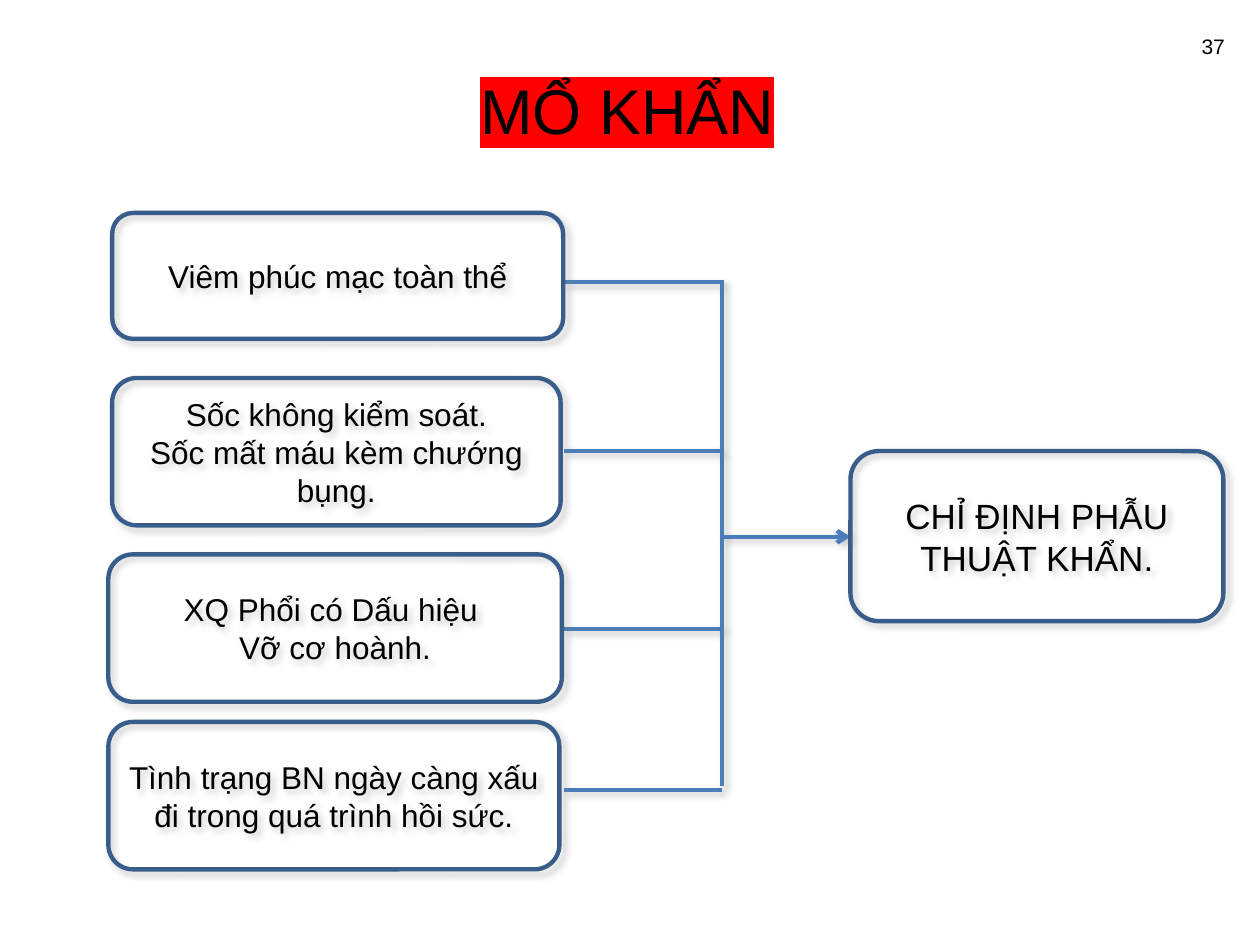
import pptx
import pptx.dml.color
import pptx.enum.shapes
import pptx.enum.text
import pptx.oxml
import pptx.oxml.ns
import pptx.util

Inches = pptx.util.Inches
Pt = pptx.util.Pt
ALIGN = pptx.enum.text.PP_ALIGN
NS = pptx.oxml.ns.nsdecls("a")

BOX_LINE = "385D8A"
LINK = "4A7EBB"
LINE_WIDTH = 2.5
TRUNK_X = 5.73

# left, top, width, height, text size, text
BOXES = [
    (0.89, 1.69, 3.58, 1, 18, "Viêm phúc mạc toàn thể"),
    (0.89, 3, 3.56, 1.17, 18,
     "Sốc không kiểm soát.\nSốc mất máu kèm chướng bụng."),
    (0.86, 4.4, 3.6, 1.17, 18, "XQ Phổi có Dấu hiệu \vVỡ cơ hoành."),
    (0.86, 5.73, 3.58, 1.17, 18,
     "Tình trạng BN ngày càng xấu đi trong quá trình hồi sức."),
    (6.75, 3.58, 2.96, 1.35, 20, "CHỈ ĐỊNH PHẪU THUẬT KHẨN."),
]
BRANCH_YS = [2.24, 3.58, 4.99, 6.27]


def color(code):
    return pptx.dml.color.RGBColor.from_string(code)


def add_shadow(shape):
    shape._element.spPr.append(pptx.oxml.parse_xml(
        f'<a:effectLst {NS}><a:outerShdw blurRad="{Pt(4)}" dist="{Pt(3)}" '
        'dir="2700000" algn="tl" rotWithShape="0"><a:srgbClr val="808080">'
        '<a:alpha val="40000"/></a:srgbClr></a:outerShdw></a:effectLst>'))


def set_line(shape, code):
    shape.line.color.rgb = color(code)
    shape.line.width = Pt(LINE_WIDTH)


def set_text(shape, text, size, align=ALIGN.CENTER):
    frame = shape.text_frame
    frame.text = text
    frame.word_wrap = True
    frame.vertical_anchor = pptx.enum.text.MSO_ANCHOR.MIDDLE
    for para in frame.paragraphs:
        para.alignment = align
        para.font.name = "Arial"
        para.font.size = Pt(size)
        para.font.color.rgb = color("000000")


def add_title(slide, text):
    title = slide.shapes.title
    title.left, title.top = Inches(0.48), Inches(0.28)
    title.width, title.height = Inches(9), Inches(1.17)
    set_text(title, text, 36)
    run = title.text_frame.paragraphs[0].runs[0]
    run._r.get_or_add_rPr().append(pptx.oxml.parse_xml(
        f'<a:highlight {NS}><a:srgbClr val="FF0000"/></a:highlight>'))


def add_number(slide, text):
    box = slide.shapes.add_textbox(
        Inches(8.99), Inches(0.17), Inches(0.83), Inches(0.4))
    set_text(box, text, 12, ALIGN.RIGHT)


def add_box(slide, left, top, width, height, size, text):
    box = slide.shapes.add_shape(
        pptx.enum.shapes.MSO_SHAPE.ROUNDED_RECTANGLE,
        Inches(left), Inches(top), Inches(width), Inches(height))
    box.fill.background()
    set_line(box, BOX_LINE)
    add_shadow(box)
    set_text(box, text, size)


def add_link(slide, x1, y1, x2, y2, arrow=False):
    link = slide.shapes.add_connector(
        pptx.enum.shapes.MSO_CONNECTOR.STRAIGHT,
        Inches(x1), Inches(y1), Inches(x2), Inches(y2))
    set_line(link, LINK)
    if arrow:
        link.line._get_or_add_ln().append(
            pptx.oxml.parse_xml(f'<a:tailEnd {NS} type="arrow"/>'))
    add_shadow(link)


def main():
    deck = pptx.Presentation()
    deck.slide_width, deck.slide_height = Inches(10), Inches(7.5)
    slide = deck.slides.add_slide(deck.slide_layouts[5])
    add_title(slide, "MỔ KHẨN")
    add_number(slide, "37")
    for y in BRANCH_YS:
        add_link(slide, 4.48, y, TRUNK_X, y)
    add_link(slide, TRUNK_X, 2.22, TRUNK_X, 6.24)
    add_link(slide, TRUNK_X, 4.26, 6.75, 4.26, arrow=True)
    for box in BOXES:
        add_box(slide, *box)
    deck.save("out.pptx")


if __name__ == "__main__":
    main()
